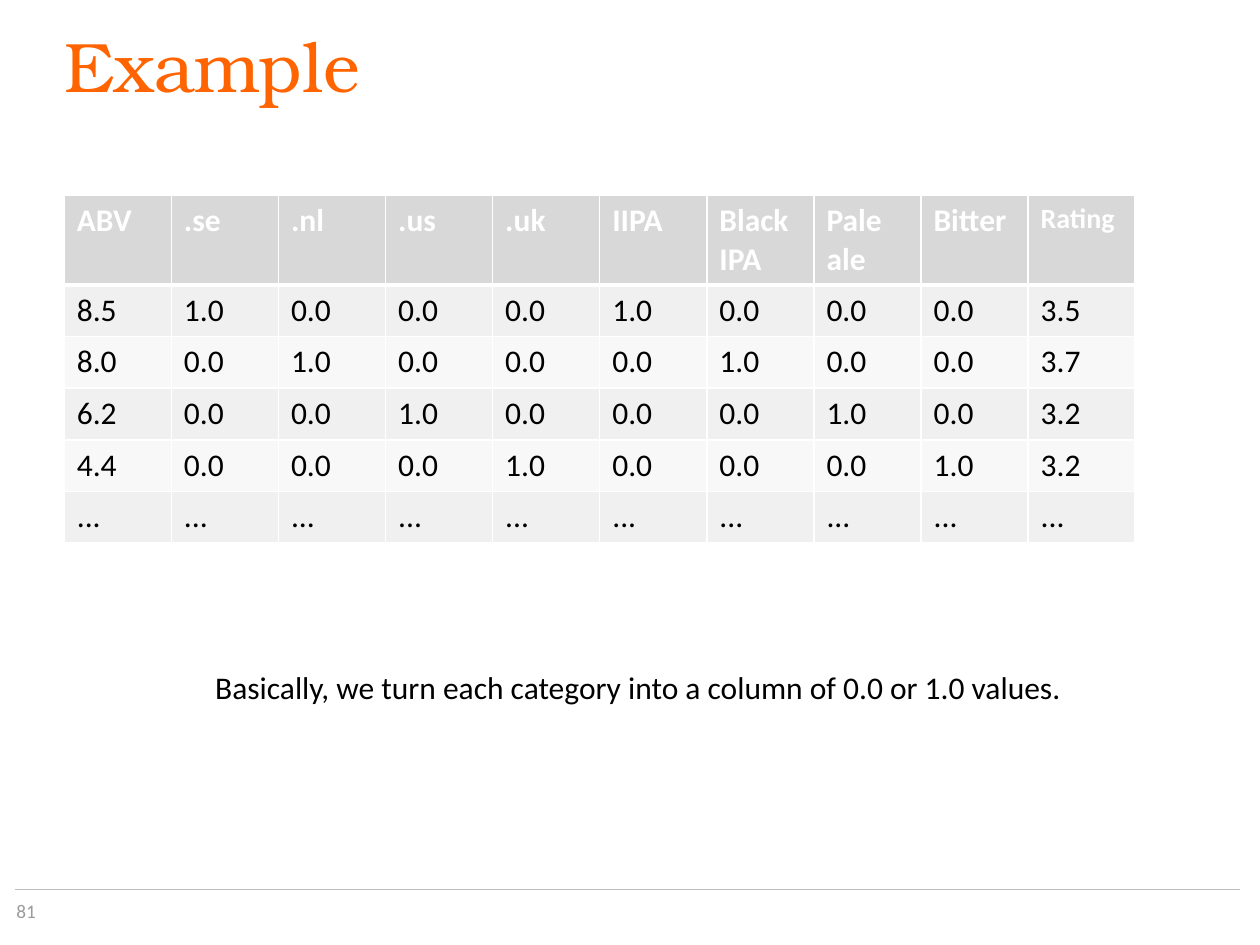
from lxml import etree
from pptx import Presentation
from pptx.dml.color import RGBColor
from pptx.enum.shapes import MSO_CONNECTOR as CONNECTOR
from pptx.enum.text import MSO_ANCHOR as ANCHOR, MSO_AUTO_SIZE as AUTO_SIZE, PP_ALIGN as ALIGN
from pptx.oxml.ns import qn
from pptx.util import Inches, Pt

COLORS = {"orange": "FF6400", "gray": "9B9B9B", "rule": "BCBEC0", "white": "FFFFFF",
          "black": "000000", "header": "D8D8D8", "odd": "F0F0F0", "even": "F8F8F8"}
NO_INSETS = {"margin_left": 0, "margin_top": 0, "margin_right": 0, "margin_bottom": 0}


def write(frame, text, size, color, font="Calibri", bold=False):
    paragraph = frame.paragraphs[0]
    paragraph.alignment = ALIGN.LEFT
    run = paragraph.add_run()
    run.text = text
    for key, value in {"size": Pt(size), "name": font, "bold": bold}.items():
        setattr(run.font, key, value)
    run.font.color.rgb = RGBColor.from_string(COLORS[color])
    return paragraph


def add_border(cell, side, width):
    line = etree.SubElement(cell._tc.get_or_add_tcPr(), qn(f"a:ln{side}"), w=str(Pt(width)))
    fill = etree.SubElement(line, qn("a:solidFill"))
    etree.SubElement(fill, qn("a:srgbClr"), val=COLORS["white"])


prs = Presentation()
prs.slide_width, prs.slide_height = Inches(10), Inches(7.5)
slide = prs.slides.add_slide(prs.slide_layouts[5])
shapes = slide.shapes

footer_rule = shapes.add_connector(CONNECTOR.STRAIGHT, Inches(0.12), Inches(7.06),
                                   Inches(9.84), Inches(7.06))
footer_rule.line.color.rgb = RGBColor.from_string(COLORS["rule"])
footer_rule.line.width = Pt(0.75)
etree.SubElement(footer_rule._element.spPr, qn("a:effectLst"))

title = shapes.title
for key, value in {"left": 0.51, "top": 0.29, "width": 8.5, "height": 1.18}.items():
    setattr(title, key, Inches(value))
heading = write(title.text_frame, "Example", 40, "orange", "TeX Gyre Bonum")
heading.line_spacing = Pt(40)

page_number = shapes.add_textbox(Inches(0.13), Inches(7.14), Inches(0.79), Inches(0.2))
write(page_number.text_frame, "81", 11, "gray")

top_frame = {**NO_INSETS, "vertical_anchor": ANCHOR.TOP, "word_wrap": True,
             "auto_size": AUTO_SIZE.NONE}
for frame in (title.text_frame, page_number.text_frame):
    for key, value in top_frame.items():
        setattr(frame, key, value)

beers = [
    ["ABV", ".se", ".nl", ".us", ".uk", "IIPA", "Black IPA", "Pale ale", "Bitter", "Rating"],
    ["8.5", "1.0", "0.0", "0.0", "0.0", "1.0", "0.0", "0.0", "0.0", "3.5"],
    ["8.0", "0.0", "1.0", "0.0", "0.0", "0.0", "1.0", "0.0", "0.0", "3.7"],
    ["6.2", "0.0", "0.0", "1.0", "0.0", "0.0", "0.0", "1.0", "0.0", "3.2"],
    ["4.4", "0.0", "0.0", "0.0", "1.0", "0.0", "0.0", "0.0", "1.0", "3.2"],
    ["..."] * 10,
]
encoding = shapes.add_table(len(beers), len(beers[0]), Inches(0.51), Inches(1.55),
                            Inches(8.5), Inches(0.41 * len(beers))).table
for r, values in enumerate(beers):
    is_header = r == 0
    band = "header" if is_header else "odd" if r % 2 else "even"
    for c, value in enumerate(values):
        cell = encoding.cell(r, c)
        write(cell.text_frame, value, 16 if value == "Rating" else 18,
              "white" if is_header else "black", bold=is_header)
        for side in "LRTB":
            thick = (is_header and side == "B") or (r == 1 and side == "T")
            add_border(cell, side, 3 if thick else 1)
        cell.fill.solid()
        cell.fill.fore_color.rgb = RGBColor.from_string(COLORS[band])

summary = shapes.add_textbox(Inches(1.61), Inches(5.25), Inches(6.97), Inches(0.4)).text_frame
summary.word_wrap = False
summary.auto_size = AUTO_SIZE.SHAPE_TO_FIT_TEXT
write(summary, "Basically, we turn each category into a column of 0.0 or 1.0 values.", 18, "black")

prs.save("out.pptx")
